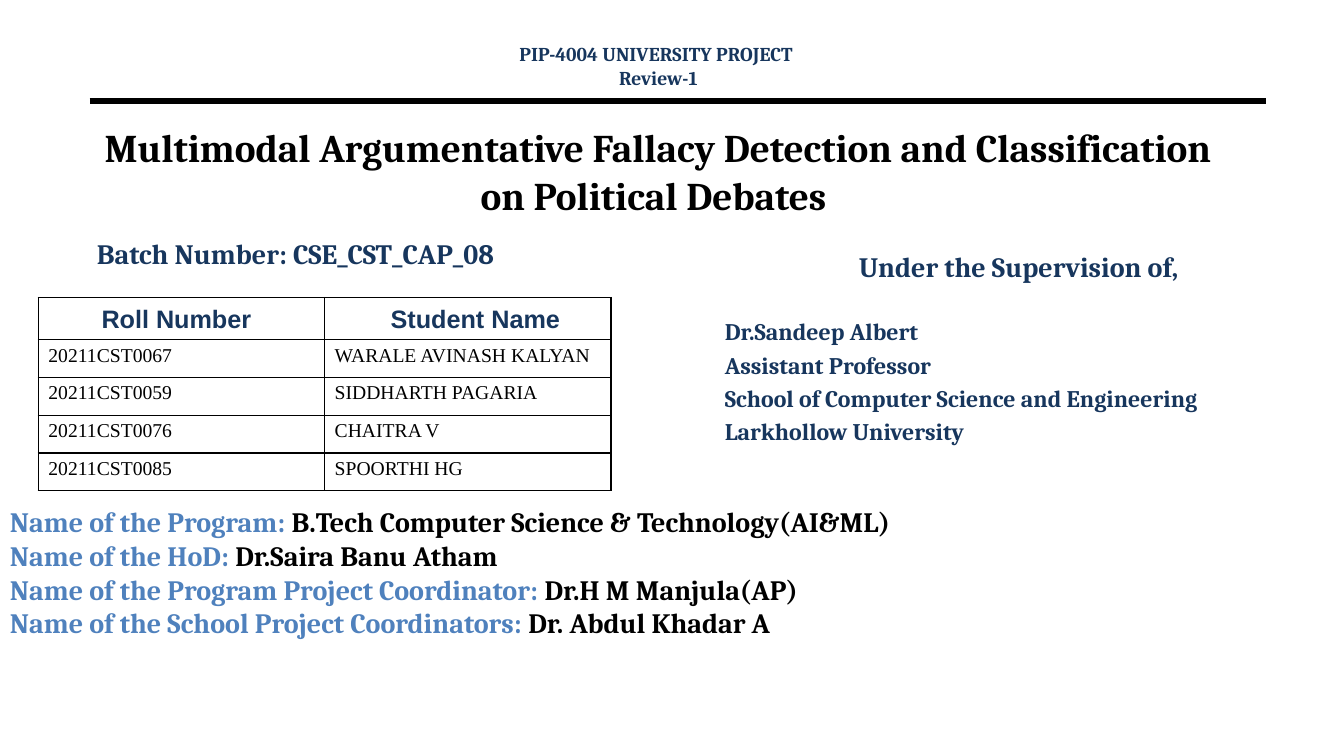
from lxml import etree
from pptx import Presentation
from pptx.dml.color import RGBColor
from pptx.enum.shapes import MSO_CONNECTOR
from pptx.enum.text import MSO_ANCHOR, MSO_AUTO_SIZE, PP_ALIGN
from pptx.oxml.ns import qn
from pptx.util import Inches, Pt

NAVY, BLUE, BLACK = "17365D", "4F81BD", "000000"
SERIF = "Cambria"

HEADINGS = ("Roll Number", "Student Name")
STUDENTS = [
    ("20211CST0067", "WARALE AVINASH KALYAN"),
    ("20211CST0059", "SIDDHARTH PAGARIA"),
    ("20211CST0076", "CHAITRA V"),
    ("20211CST0085", "SPOORTHI HG"),
]
SUPERVISOR = [
    "Dr.Sandeep Albert",
    "Assistant Professor",
    "School of Computer Science and Engineering",
    "Larkhollow University",
]
PROGRAM_DETAILS = [
    ("Name of the Program: ", "B.Tech Computer Science & Technology(AI&ML)"),
    ("Name of the HoD: ", "Dr.Saira Banu Atham"),
    ("Name of the Program Project Coordinator: ", "Dr.H M Manjula(AP)"),
    ("Name of the School Project Coordinators: ", "Dr. Abdul Khadar A"),
]


def color(hex_value):
    return RGBColor.from_string(hex_value)


def add_run(paragraph, text, size, hex_value=NAVY, font=SERIF, bold=True):
    run = paragraph.add_run()
    run.text = text
    run.font.size = Pt(size)
    run.font.name = font
    run.font.bold = bold
    run.font.color.rgb = color(hex_value)


def next_paragraph(frame, align=PP_ALIGN.LEFT, space_before=0):
    """Return the first paragraph while it is empty, otherwise a new one."""
    first = frame.paragraphs[0]
    paragraph = frame.add_paragraph() if first.runs else first
    paragraph.alignment = align
    paragraph.space_before = Pt(space_before)
    return paragraph


def prepare_frame(shape, anchor=MSO_ANCHOR.TOP):
    frame = shape.text_frame
    frame.word_wrap = True
    frame.auto_size = MSO_AUTO_SIZE.NONE
    frame.vertical_anchor = anchor
    return frame


def add_text_box(slide, left, top, width, height):
    box = slide.shapes.add_textbox(
        Inches(left), Inches(top), Inches(width), Inches(height))
    return prepare_frame(box)


def place_placeholder(shape, left, top, width, height, anchor):
    shape.left, shape.top = Inches(left), Inches(top)
    shape.width, shape.height = Inches(width), Inches(height)
    return prepare_frame(shape, anchor)


def add_rule(slide, left, right, top, weight):
    rule = slide.shapes.add_connector(
        MSO_CONNECTOR.STRAIGHT,
        Inches(left), Inches(top), Inches(right), Inches(top))
    rule.line.color.rgb = color(BLACK)
    rule.line.width = Pt(weight)
    etree.SubElement(rule._element.spPr, qn("a:effectLst"))


def border_cell(cell, visible):
    """Draw a thin black border on all four sides, or turn it off."""
    properties = cell._tc.get_or_add_tcPr()
    for index, side in enumerate(("lnL", "lnR", "lnT", "lnB")):
        border = etree.Element(qn(f"a:{side}"), w=str(Pt(1)))
        if visible:
            fill = etree.SubElement(border, qn("a:solidFill"))
            etree.SubElement(fill, qn("a:srgbClr"), val=BLACK)
        else:
            etree.SubElement(border, qn("a:noFill"))
        properties.insert(index, border)


def add_table(slide, left, top, widths, heights, bordered):
    table = slide.shapes.add_table(
        len(heights), len(widths), Inches(left), Inches(top),
        Inches(sum(widths)), Inches(sum(heights))).table
    for column, width in zip(table.columns, widths):
        column.width = Inches(width)
    for row, height in zip(table.rows, heights):
        row.height = Inches(height)
    for cell in table.iter_cells():
        cell.fill.background()
        border_cell(cell, bordered)
    return table


def add_heading_table(slide):
    table = add_table(slide, 0.61, 2.98, [2.28, 3.65], [0.33] * 6, False)
    for index, heading in enumerate(HEADINGS):
        cell = table.cell(0, index)
        cell.vertical_anchor = MSO_ANCHOR.MIDDLE
        paragraph = next_paragraph(cell.text_frame, PP_ALIGN.CENTER)
        add_run(paragraph, heading, 18, font="Arial")


def add_student_table(slide):
    header_height = 0.42
    row_height = (1.92 - header_height) / len(STUDENTS)
    heights = [header_height] + [row_height] * len(STUDENTS)
    table = add_table(slide, 0.38, 2.95, [2.84, 2.84], heights, True)
    for row_index, student in enumerate(STUDENTS, start=1):
        for column_index, value in enumerate(student):
            frame = table.cell(row_index, column_index).text_frame
            add_run(next_paragraph(frame), value, 14, BLACK,
                    "Times New Roman", bold=False)


def add_supervisor(slide):
    frame = add_text_box(slide, 7.09, 2.43, 6.03, 2.21)
    add_run(next_paragraph(frame, PP_ALIGN.CENTER),
            "Under the Supervision of,", 20)
    for index, line in enumerate(SUPERVISOR):
        gap = 3.4 if index else 24
        add_run(next_paragraph(frame, space_before=gap), line, 17)


def add_program_details(slide):
    frame = add_text_box(slide, 0, 4.96, 13.4, 1.71)
    for label, value in PROGRAM_DETAILS:
        paragraph = next_paragraph(frame)
        add_run(paragraph, label, 20, BLUE)
        add_run(paragraph, value, 20, BLACK)


def main():
    presentation = Presentation()
    presentation.slide_width = Inches(13.33)
    presentation.slide_height = Inches(7.5)
    slide = presentation.slides.add_slide(presentation.slide_layouts[0])

    add_rule(slide, 0.89, 12.56, 1, 4.5)
    title = place_placeholder(
        slide.shapes.title, 0.86, 1.17, 11.33, 1.05, MSO_ANCHOR.MIDDLE)
    add_run(next_paragraph(title, PP_ALIGN.CENTER),
            "Multimodal Argumentative Fallacy Detection and Classification "
            "on Political Debates ", 28, BLACK)
    batch = place_placeholder(
        slide.placeholders[1], 0.86, 2.3, 4.34, 0.6, MSO_ANCHOR.TOP)
    add_run(next_paragraph(batch), "Batch Number: CSE_CST_CAP_08", 20)

    add_heading_table(slide)
    add_supervisor(slide)
    course = add_text_box(slide, 4.36, 0.37, 4.34, 0.6)
    for line in ("PIP-4004 UNIVERSITY PROJECT ", "Review-1"):
        add_run(next_paragraph(course, PP_ALIGN.CENTER), line, 14)
    add_program_details(slide)
    add_student_table(slide)
    presentation.save("out.pptx")


if __name__ == "__main__":
    main()
